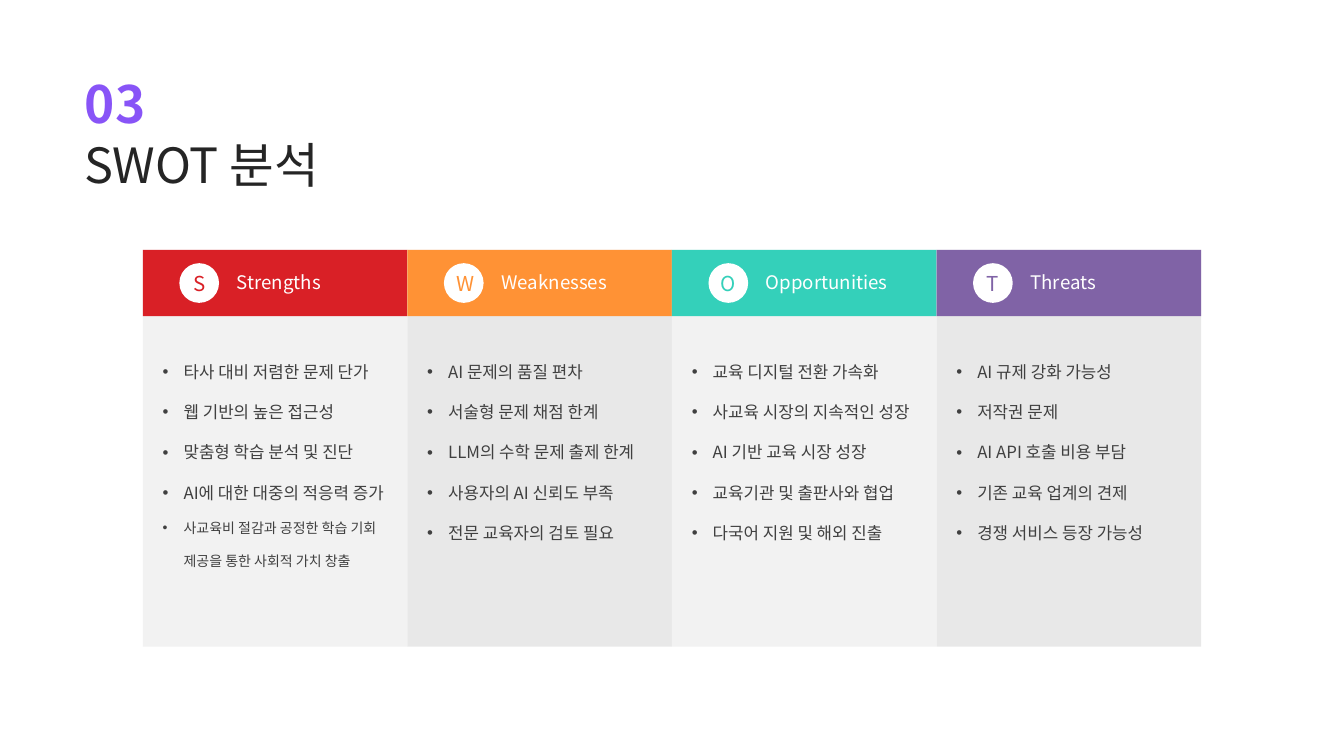
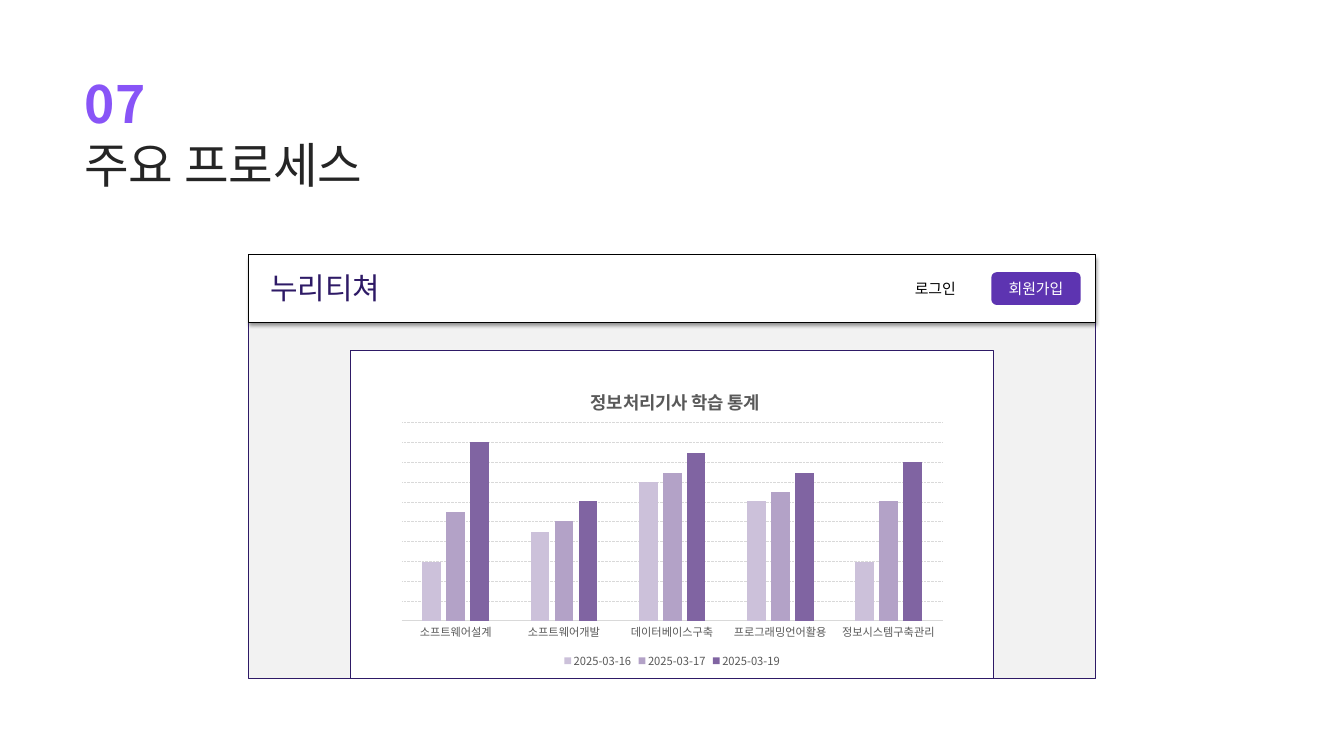
import pptx
import pptx.chart.data
import pptx.dml.color
import pptx.enum.chart
import pptx.enum.dml
import pptx.enum.shapes
import pptx.enum.text
import pptx.oxml
import pptx.oxml.ns
import pptx.util

Cm = pptx.util.Cm
Pt = pptx.util.Pt
RGBColor = pptx.dml.color.RGBColor
SHAPE = pptx.enum.shapes.MSO_SHAPE
ALIGN = pptx.enum.text.PP_ALIGN
qn = pptx.oxml.ns.qn

FONT = "Noto Sans CJK KR"
WHITE = RGBColor(0xFF, 0xFF, 0xFF)
BLACK = RGBColor(0x00, 0x00, 0x00)
VIOLET = RGBColor(0x88, 0x54, 0xF7)
INK = RGBColor(0x25, 0x25, 0x25)
BODY = RGBColor(0x40, 0x40, 0x40)
LABEL = RGBColor(0x59, 0x59, 0x59)
RULE = RGBColor(0xD9, 0xD9, 0xD9)
PALE = RGBColor(0xF2, 0xF2, 0xF2)
GREY = RGBColor(0xE8, 0xE8, 0xE8)
RED = RGBColor(0xD9, 0x20, 0x26)
ORANGE = RGBColor(0xFF, 0x92, 0x35)
TEAL = RGBColor(0x34, 0xD0, 0xBA)
PURPLE = RGBColor(0x80, 0x63, 0xA6)
NAVY = RGBColor(0x2E, 0x1A, 0x66)
BUTTON = RGBColor(0x5D, 0x34, 0xB1)
DAY_COLORS = [RGBColor(0xCC, 0xC1, 0xDA), RGBColor(0xB3, 0xA2, 0xC7), RGBColor(0x80, 0x64, 0xA2)]


def block(slide, kind, left, top, width, height, fill, line=None):
    shape = slide.shapes.add_shape(kind, Cm(left), Cm(top), Cm(width), Cm(height))
    shape.shadow.inherit = False
    shape.fill.solid()
    shape.fill.fore_color.rgb = fill
    if line is None:
        shape.line.fill.background()
    else:
        shape.line.color.rgb = line
        shape.line.width = Pt(0.75)
    return shape


def write(text, slide=None, box=None, frame=None, size=18, color=BODY, bold=None,
          align=None, leading=None, bullet=False, inset=True, tracking=None):
    """Fill a frame, or a new text box on the slide, with one paragraph a line."""
    if frame is None:
        frame = slide.shapes.add_textbox(*[Cm(length) for length in box]).text_frame
        frame.auto_size = pptx.enum.text.MSO_AUTO_SIZE.SHAPE_TO_FIT_TEXT
    frame.word_wrap = True
    if not inset:
        frame.margin_left = frame.margin_right = frame.margin_top = frame.margin_bottom = 0
    for index, line in enumerate(text.split("\n")):
        paragraph = frame.add_paragraph() if index else frame.paragraphs[0]
        if bullet:
            properties = paragraph._p.get_or_add_pPr()
            properties.set("marL", str(Cm(0.79)))
            properties.set("indent", str(-Cm(0.79)))
            properties.append(pptx.oxml.parse_xml(
                f'<a:buFont {pptx.oxml.ns.nsdecls("a")} typeface="Arial"/>'))
            properties.append(pptx.oxml.parse_xml(
                f'<a:buChar {pptx.oxml.ns.nsdecls("a")} char="•"/>'))
        paragraph.alignment = align
        paragraph.line_spacing = leading
        run = paragraph.add_run()
        run.text = line
        run.font.size = Pt(size)
        run.font.bold = bold
        run.font.color.rgb = color
        run.font.name = FONT
        run_properties = run._r.get_or_add_rPr()
        run_properties.append(pptx.oxml.parse_xml(
            f'<a:ea {pptx.oxml.ns.nsdecls("a")} typeface="{FONT}"/>'))
        if tracking:
            run_properties.set("spc", str(round(tracking * 100)))
    return frame


deck = pptx.Presentation()
deck.slide_width = Cm(50.8)
deck.slide_height = Cm(28.58)

# Section number and title on both slides
slides = []
for number, title in [("03", "SWOT 분석"), ("07", "주요 프로세스")]:
    slide = deck.slides.add_slide(deck.slide_layouts[6])
    write(number, slide, (3.18, 1.17, 3.89, 3.53), size=55, color=VIOLET, bold=True,
          leading=Pt(110), inset=False, tracking=1.3)
    write(title, slide, (3.18, 3.63, 14.73, 3.33), size=52, color=INK,
          leading=Pt(104), inset=False)
    slides.append(slide)
swot, process = slides

# SWOT columns
columns = [
    ("Strengths", RED, PALE, 8.81,
     "타사 대비 저렴한 문제 단가\n웹 기반의 높은 접근성\n맞춤형 학습 분석 및 진단\n"
     "AI에 대한 대중의 적응력 증가\n사교육비 절감과 공정한 학습 기회 제공을 통한 사회적 가치 창출"),
    ("Weaknesses", ORANGE, GREY, 7.75,
     "AI 문제의 품질 편차\n서술형 문제 채점 한계\nLLM의 수학 문제 출제 한계\n"
     "사용자의 AI 신뢰도 부족\n전문 교육자의 검토 필요"),
    ("Opportunities", TEAL, PALE, 7.75,
     "교육 디지털 전환 가속화\n사교육 시장의 지속적인 성장\nAI 기반 교육 시장 성장\n"
     "교육기관 및 출판사와 협업\n다국어 지원 및 해외 진출"),
    ("Threats", PURPLE, GREY, 9.3,
     "AI 규제 강화 가능성\n저작권 문제\nAI API 호출 비용 부담\n"
     "기존 교육 업계의 견제\n경쟁 서비스 등장 가능성"),
]
column_width, column_top = 10, 9.45
point_frames = []
for index, (heading, accent, ground, points_height, points) in enumerate(columns):
    left = 5.4 + index * column_width
    block(swot, SHAPE.RECTANGLE, left, column_top, column_width, 15, ground)
    block(swot, SHAPE.RECTANGLE, left, column_top, column_width, 2.5, accent)
    initial = block(swot, SHAPE.OVAL, left + 1.38, column_top + 0.5, 1.5, 1.5, WHITE)
    write(heading[0], frame=initial.text_frame, size=22, color=accent, align=ALIGN.CENTER)
    write(heading, swot, (left + 3.3, column_top + 0.66, 6.15, 1.12), size=20, color=WHITE)
    point_frames.append(write(points, swot, (left + 0.5, 12.78, 9, points_height),
                              leading=2.0, bullet=True))
point_frames[0].paragraphs[-1].runs[0].font.size = Pt(15)

# Web page mock-up with its header bar
block(process, SHAPE.RECTANGLE, 9.4, 9.63, 32, 16, PALE, NAVY)
header = block(process, SHAPE.RECTANGLE, 9.4, 9.63, 32, 2.54, WHITE, BLACK)
header._element.spPr.find(qn("a:effectLst")).append(pptx.oxml.parse_xml(
    f'<a:outerShdw {pptx.oxml.ns.nsdecls("a")} blurRad="{Pt(4)}" dist="{Pt(3)}" dir="5400000" '
    'algn="t" rotWithShape="0"><a:srgbClr val="000000"><a:alpha val="40000"/></a:srgbClr>'
    '</a:outerShdw>'))
write("누리티쳐", process, (9.96, 10.08, 6.48, 1.63), size=32, color=NAVY)
sign_up = block(process, SHAPE.ROUNDED_RECTANGLE, 37.47, 10.29, 3.38, 1.24, BUTTON)
write("회원가입", frame=sign_up.text_frame, size=16, color=WHITE, align=ALIGN.CENTER)
write("로그인", process, (33.45, 10.44, 3.81, 0.94), size=16, color=BLACK, align=ALIGN.CENTER)
block(process, SHAPE.RECTANGLE, 13.23, 13.23, 24.33, 12.4, WHITE, NAVY)

# Study statistics chart
scores = pptx.chart.data.CategoryChartData()
scores.categories = ["소프트웨어설계", "소프트웨어개발", "데이터베이스구축",
                     "프로그래밍언어활용", "정보시스템구축관리"]
scores.add_series("2025-03-16", [33, 50, 78, 67, 33])
scores.add_series("2025-03-17", [61, 56, 83, 72, 67])
scores.add_series("2025-03-19", [100, 67, 94, 83, 89])
chart = process.shapes.add_chart(
    pptx.enum.chart.XL_CHART_TYPE.COLUMN_CLUSTERED,
    Cm(14.76), Cm(14.05), Cm(21.29), Cm(11.35), scores).chart
chart.font.name = "Calibri"
chart.font.size = Pt(10)
chart.font.color.rgb = BLACK

chart.has_title = True
write("정보처리기사 학습 통계", frame=chart.chart_title.text_frame, size=19, color=LABEL)

chart.has_legend = True
chart.legend.position = pptx.enum.chart.XL_LEGEND_POSITION.BOTTOM
chart.legend.include_in_layout = False
subjects, score_axis = chart.category_axis, chart.value_axis
for font in (chart.legend.font, subjects.tick_labels.font):
    font.name = FONT
    font.size = Pt(12)
    font.color.rgb = LABEL

subjects.major_tick_mark = pptx.enum.chart.XL_TICK_MARK.NONE
subjects.format.line.color.rgb = RULE
subjects.format.line.width = Pt(0.75)
score_axis.visible = False
score_axis.minimum_scale = 0
score_axis.maximum_scale = 111
score_axis.major_unit = 11.1
score_axis.has_major_gridlines = True
grid = score_axis.major_gridlines.format.line
grid.color.rgb = RULE
grid.width = Pt(0.75)
grid.dash_style = pptx.enum.dml.MSO_LINE.ROUND_DOT

plot = chart.plots[0]
plot.vary_by_categories = False
plot.gap_width = 219
plot.overlap = -27
for day, color in zip(plot.series, DAY_COLORS):
    day.format.fill.solid()
    day.format.fill.fore_color.rgb = color

# Fixed places for the chart title (after its text) and the plot area
for part, position, settings in [
    (chart.chart_title._element, 1, {"xMode": "edge", "yMode": "edge", "x": 0.35, "y": 0.04}),
    (chart._chartSpace.chart.plotArea, 0,
     {"layoutTarget": "inner", "xMode": "edge", "yMode": "edge",
      "x": 0.02, "y": 0.17, "w": 0.96, "h": 0.66}),
]:
    automatic = part.find(qn("c:layout"))
    if automatic is not None:
        part.remove(automatic)
    entries = "".join(f'<c:{key} val="{value}"/>' for key, value in settings.items())
    part.insert(position, pptx.oxml.parse_xml(
        f'<c:layout {pptx.oxml.ns.nsdecls("c")}><c:manualLayout>{entries}</c:manualLayout>'
        '</c:layout>'))

deck.save("out.pptx")
